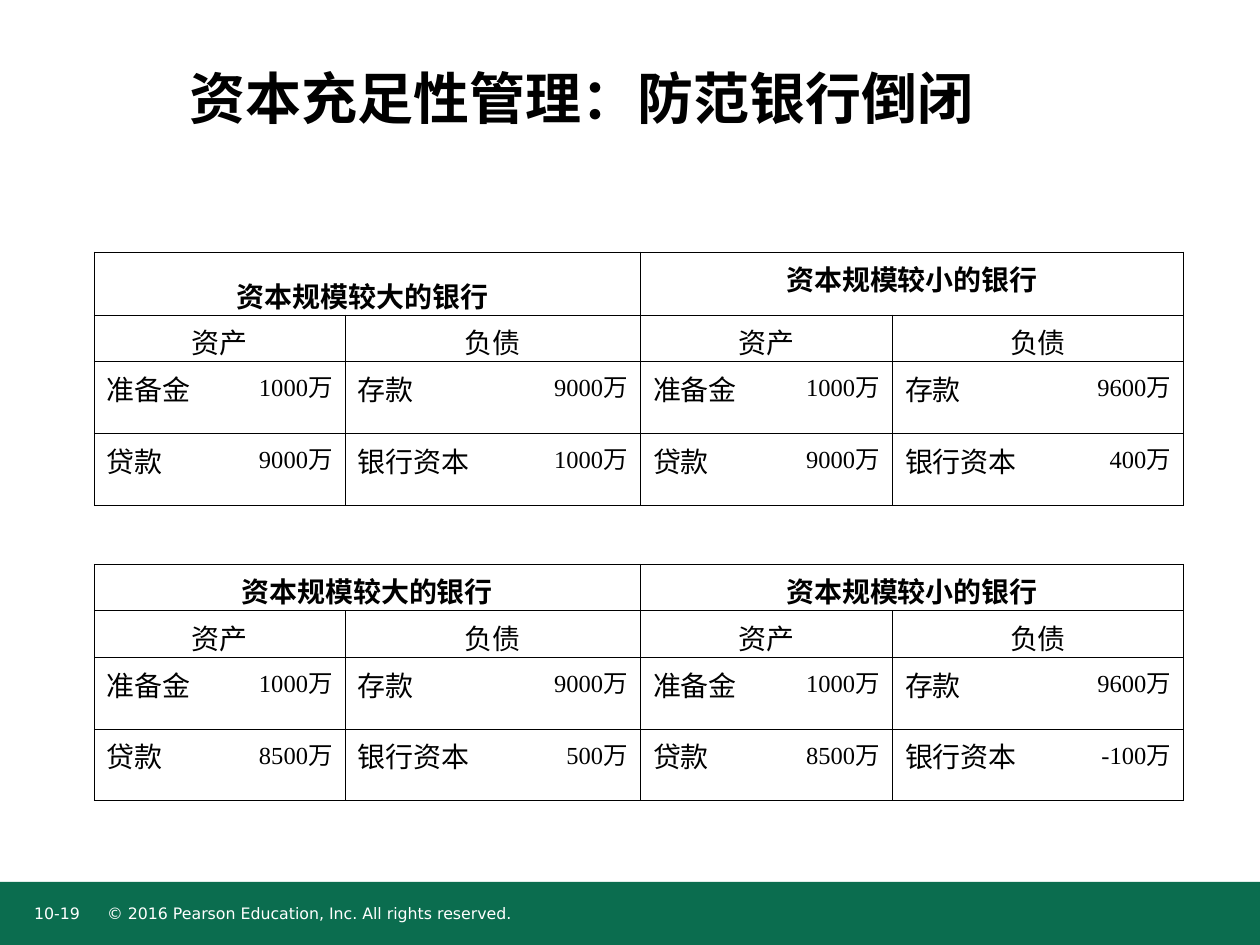
import pptx
import pptx.util
import pptx.dml.color
import pptx.enum.text
import pptx.enum.shapes
import pptx.oxml.ns
import lxml.etree

Cm, Pt = pptx.util.Cm, pptx.util.Pt
Align = pptx.enum.text.PP_ALIGN
Mid = pptx.enum.text.MSO_ANCHOR.MIDDLE
qn = pptx.oxml.ns.qn

# Content
TITLE = "资本充足性管理：防范银行倒闭 "
FOOT = [  # text, left, width
    ("© 2016 Pearson Education, Inc. All rights reserved.", 2.16, 14.99),
    ("10-19", 0.69, 0.99),
]
BANKS = ["资本规模较大的银行", "资本规模较小的银行"]
SIDES = ["资产", "负债"] * 2
ITEMS = [["准备金", "存款"] * 2, ["贷款", "银行资本"] * 2]
SHEETS = [  # one balance sheet pair each: reserves row, loans row
    [["1000万", "9000万", "1000万", "9600万"],
     ["9000万", "1000万", "9000万", "400万"]],
    [["1000万", "9000万", "1000万", "9600万"],
     ["8500万", "500万", "8500万", "-100万"]],
]

# Look
THEME = {
    "ink": "000000", "white": "FFFFFF", "green": "0B6D4F",
    "sans": "DejaVu Sans", "serif": "Times New Roman",
    "title": 32, "tall": 24, "label": 16, "value": 14, "foot": 9,
    "thin": 0.45, "thick": 0.75,
}
COLS = [2.95, 2.11, 3.84, 2.11, 2.97, 2.11, 3.81, 2.06]
HEAD, LINE, DEEP, GAP = 1.27, 0.94, 1.45, 1.19
ROWS = [HEAD, LINE, DEEP, LINE, GAP, LINE, LINE, DEEP, LINE]
STEP = 5  # rows from one sheet to the next


def color(key):
    return pptx.dml.color.RGBColor.from_string(THEME[key])


def style(run, size, face, ink="ink", bold=False):
    font = run.font
    font.size, font.name, font.bold = Pt(THEME[size]), THEME[face], bold
    font.color.rgb = color(ink)


def label(slide, text, box, size, ink="ink", bold=False, align=Align.LEFT):
    frame = slide.shapes.add_textbox(*map(Cm, box)).text_frame
    frame.word_wrap = True
    frame.margin_left = frame.margin_right = 0
    frame.margin_top = frame.margin_bottom = 0
    frame.text = text
    para = frame.paragraphs[0]
    para.alignment = align
    style(para.runs[0], size, "sans", ink, bold)
    return frame


def edge(cell, side, width):
    """Add one border; a width of None hides it."""
    line = lxml.etree.SubElement(cell._tc.get_or_add_tcPr(), qn("a:ln" + side))
    if width is None:
        lxml.etree.SubElement(line, qn("a:noFill"))
        return
    line.set("w", str(int(Pt(width))))
    fill = lxml.etree.SubElement(line, qn("a:solidFill"))
    lxml.etree.SubElement(fill, qn("a:srgbClr")).set("val", THEME["ink"])


def border(cell, row, col):
    kind = row % STEP  # 0 bank, 1 side, 2 and 3 items, 4 gap
    step = 4 if kind == 0 else 2
    end = col + (cell.span_width if cell.is_merge_origin else 1)

    def upright(at):
        if kind == 4 or at % step:
            return None
        return THEME["thick" if at == 4 else "thin"]

    edge(cell, "L", upright(col))
    edge(cell, "R", upright(end))
    edge(cell, "T", THEME["thick" if kind == 2 else "thin"])
    edge(cell, "B", THEME["thick" if kind == 1 else "thin"])
    cell.fill.background()


def put(cell, text, size="label", align=Align.LEFT, bold=False):
    cell.text = text
    para = cell.text_frame.paragraphs[0]
    para.alignment = align
    style(para.runs[0], size, "serif", bold=bold)
    return para


def sheet(grid, top, sums):
    # Bank names and the two sides of each balance sheet
    for row, names, span in [(top, BANKS, 4), (top + 1, SIDES, 2)]:
        for num, name in enumerate(names):
            cell = grid.cell(row, num * span)
            cell.merge(grid.cell(row, num * span + span - 1))
            put(cell, name, align=Align.CENTER, bold=span == 4)
    # Items with their amounts
    for row, (names, vals) in enumerate(zip(ITEMS, sums), top + 2):
        for num, (name, val) in enumerate(zip(names, vals)):
            put(grid.cell(row, num * 2), name)
            put(grid.cell(row, num * 2 + 1), val, "value", Align.RIGHT)


def main():
    deck = pptx.Presentation()
    deck.slide_width, deck.slide_height = Cm(25.4), Cm(19.05)
    slide = deck.slides.add_slide(deck.slide_layouts[6])

    # Footer band
    band = slide.shapes.add_shape(
        pptx.enum.shapes.MSO_SHAPE.RECTANGLE, 0, Cm(17.78), Cm(25.4), Cm(1.27))
    band.shadow.inherit = False
    band.fill.solid()
    band.fill.fore_color.rgb = color("green")
    band.line.fill.background()
    for text, left, width in FOOT:
        label(slide, text, (left, 18.21, width, 0.51), "foot", "white")

    # Title
    frame = label(slide, TITLE, (1.07, 0.53, 21.59, 2.87), "title",
                  bold=True, align=Align.CENTER)
    frame.vertical_anchor = Mid

    # Balance sheets
    grid = slide.shapes.add_table(
        len(ROWS), len(COLS), Cm(1.9), Cm(5.08),
        Cm(sum(COLS)), Cm(sum(ROWS))).table
    grid.first_row = grid.horz_banding = False
    for col, width in zip(grid.columns, COLS):
        col.width = Cm(width)
    for row, height in zip(grid.rows, ROWS):
        row.height = Cm(height)
    for num, sums in enumerate(SHEETS):
        sheet(grid, num * STEP, sums)
    # A tall space sets the first bank name lower
    tail = grid.cell(0, 0).text_frame.paragraphs[0].add_run()
    tail.text = " "
    style(tail, "tall", "sans")
    for row in range(len(ROWS)):
        for col in range(len(COLS)):
            border(grid.cell(row, col), row, col)

    deck.save("out.pptx")


if __name__ == "__main__":
    main()
